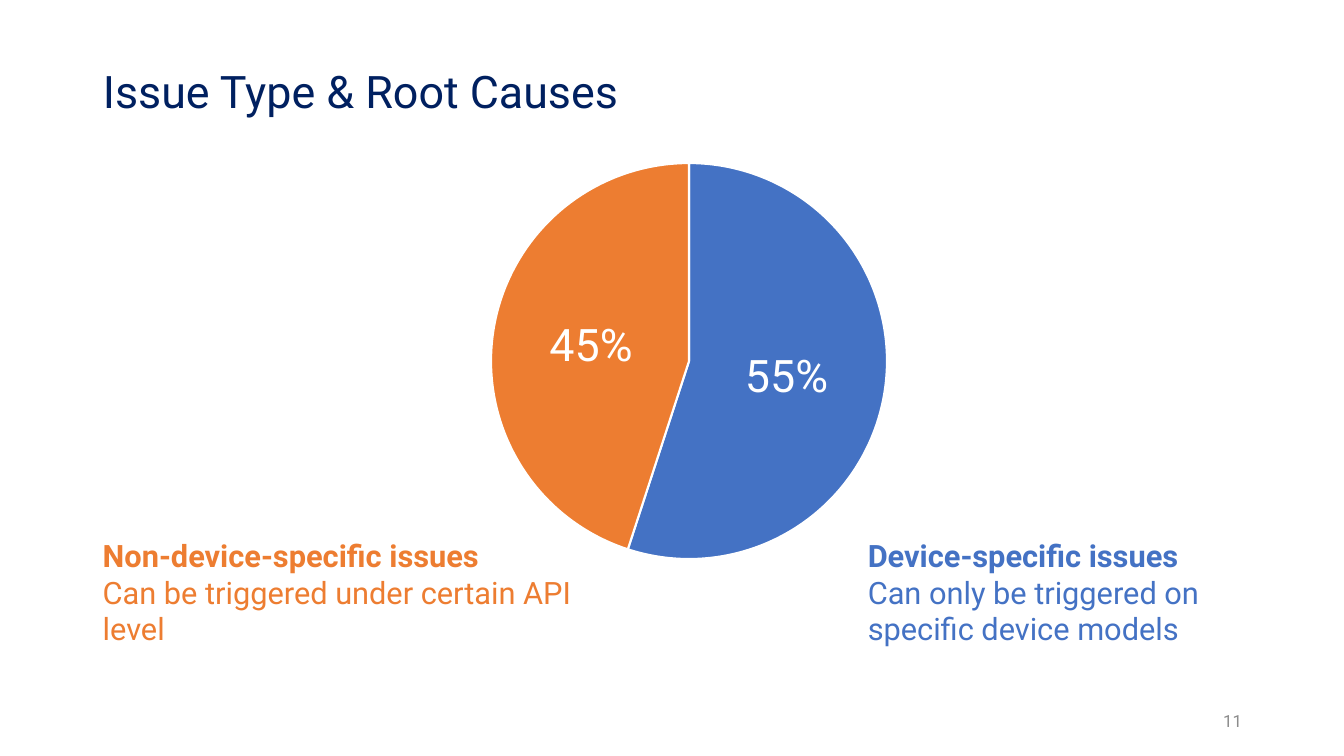
from dataclasses import dataclass

from lxml import etree
from pptx import Presentation
from pptx import util as u
from pptx.chart.data import CategoryChartData
from pptx.dml.color import RGBColor
from pptx.enum import chart as charts, text
from pptx.oxml.ns import qn


@dataclass(frozen=True)
class Theme:
    font: str = "Roboto"
    chart_font: str = "Calibri"
    navy: str = "002060"
    blue: str = "4472C4"
    orange: str = "ED7D31"
    grey: str = "8C8C8C"
    white: str = "FFFFFF"
    black: str = "000000"
    title_size: int = 32
    body_size: int = 22
    number_size: int = 12
    chart_size: int = 10


class SlideBuilder:
    def __init__(self, prs, theme):
        self.theme = theme
        self.s = prs.slides.add_slide(prs.slide_layouts[5])

    def style(self, font, size, color, bold=False, name=None):
        font.name = name or self.theme.font
        font.size = u.Pt(size)
        font.bold = bold
        font.color.rgb = RGBColor.from_string(color)

    def add_run(self, p, words, size, color, bold=False):
        r = p.add_run()
        r.text = words
        self.style(r.font, size, color, bold)

    def title(self, words, box):
        sp = self.s.shapes.title
        sp.left, sp.top, sp.width, sp.height = map(u.Cm, box)
        tf = sp.text_frame
        tf.word_wrap = True
        tf.vertical_anchor = text.MSO_ANCHOR.MIDDLE
        p = tf.paragraphs[0]
        p.alignment = text.PP_ALIGN.LEFT
        p.line_spacing = 0.9
        self.add_run(p, words, self.theme.title_size, self.theme.navy)

    def text_box(self, box):
        tf = self.s.shapes.add_textbox(*map(u.Cm, box)).text_frame
        tf.word_wrap = True
        return tf

    def issue_note(self, heading, cause, color, box):
        tf = self.text_box(box)
        tf.auto_size = text.MSO_AUTO_SIZE.SHAPE_TO_FIT_TEXT
        self.add_run(tf.paragraphs[0], heading, self.theme.body_size, color, True)
        self.add_run(tf.add_paragraph(), cause, self.theme.body_size, color)

    def page_number(self, number, box):
        tf = self.text_box(box)
        tf.vertical_anchor = text.MSO_ANCHOR.MIDDLE
        p = tf.paragraphs[0]
        p.alignment = text.PP_ALIGN.RIGHT
        self.add_run(p, number, self.theme.number_size, self.theme.grey)

    def pie(self, shares, colors, box):
        th = self.theme
        data = CategoryChartData()
        data.categories = [str(i) for i in range(1, len(shares) + 1)]
        data.add_series("Series 1", shares)
        chart = self.s.shapes.add_chart(
            charts.XL_CHART_TYPE.PIE, *map(u.Cm, box), data).chart
        chart.has_legend = False
        chart.has_title = False
        self.style(chart.font, th.chart_size, th.black, name=th.chart_font)
        plot = chart.plots[0]
        plot.vary_by_categories = True

        # Slices with a thin white edge
        for i, color in enumerate(colors):
            slice_format = plot.series[0].points[i].format
            slice_format.fill.solid()
            slice_format.fill.fore_color.rgb = RGBColor.from_string(color)
            slice_format.line.color.rgb = RGBColor.from_string(th.white)
            slice_format.line.width = u.Pt(1.5)

        # Percentages in the slices
        labels = plot.series[0].data_labels
        labels.show_percentage = True
        labels.show_value = False
        labels.position = charts.XL_LABEL_POSITION.CENTER
        self.style(labels.font, th.title_size, th.white)

        # Fixed plot area, centred in the chart frame
        area = chart._chartSpace.chart.plotArea
        for old in area.findall(qn("c:layout")):
            area.remove(old)
        layout = etree.Element(qn("c:layout"))
        manual = etree.SubElement(layout, qn("c:manualLayout"))
        for tag, value in (("layoutTarget", "inner"), ("xMode", "edge"),
                           ("yMode", "edge"), ("x", 0.12), ("y", 0.03),
                           ("w", 0.76), ("h", 0.94)):
            etree.SubElement(manual, qn("c:" + tag)).set("val", str(value))
        area.insert(0, layout)


def main():
    prs = Presentation()
    prs.slide_width, prs.slide_height = u.Cm(33.87), u.Cm(19.05)
    theme = Theme()
    slide = SlideBuilder(prs, theme)
    left, note_top, note_height = 2.34, 13.39, 3.07

    # Title
    slide.title("Issue Type & Root Causes", (left, 1.02, 29.21, 2.72))

    # Issue types
    slide.issue_note("Device-specific issues",
                     "Can only be triggered on specific device models",
                     theme.blue, (21.62, note_top, 10.85, note_height))
    slide.issue_note("Non-device-specific issues",
                     "Can be triggered under certain API level",
                     theme.orange, (left, note_top, 12.67, note_height))

    # Page number
    slide.page_number("11", (23.93, 17.65, 7.62, 1.02))

    # Share of each issue type
    slide.pie((55, 45), (theme.blue, theme.orange), (10.8, 3.73, 13.13, 10.74))

    prs.save("out.pptx")


if __name__ == "__main__":
    main()
